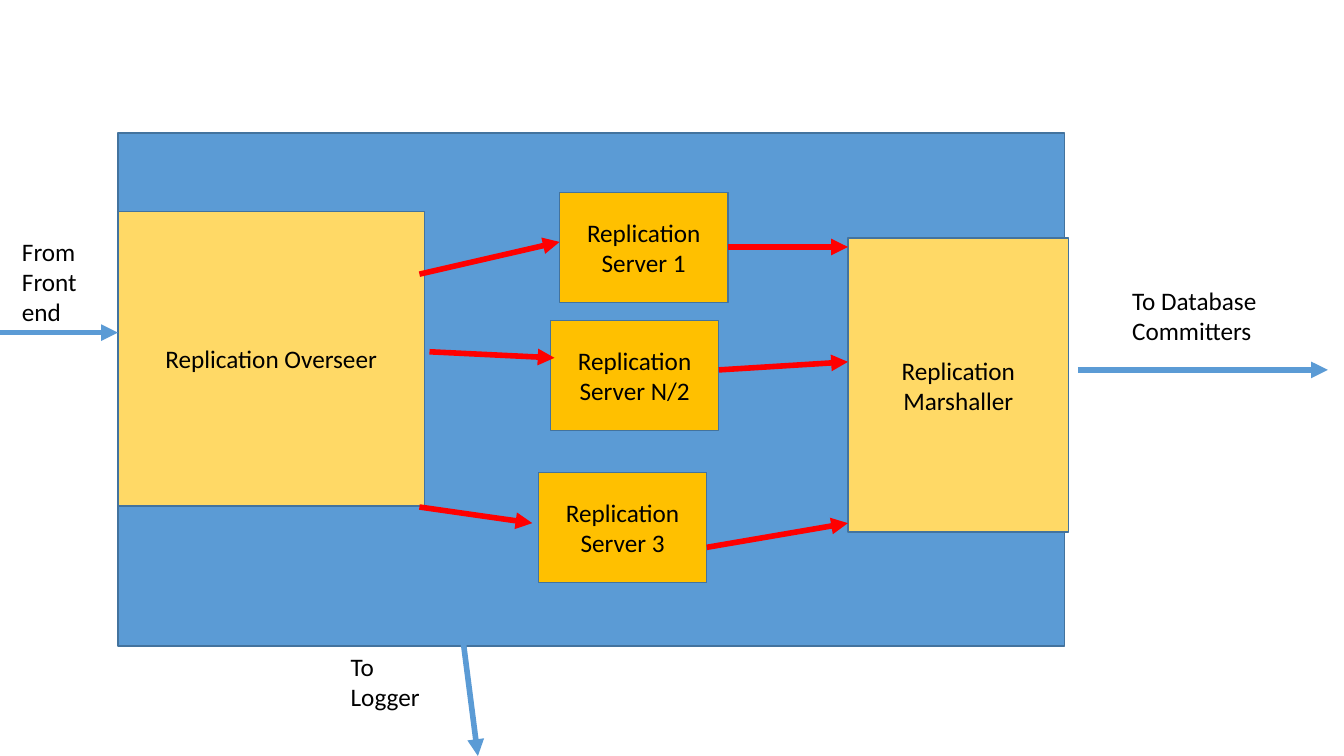
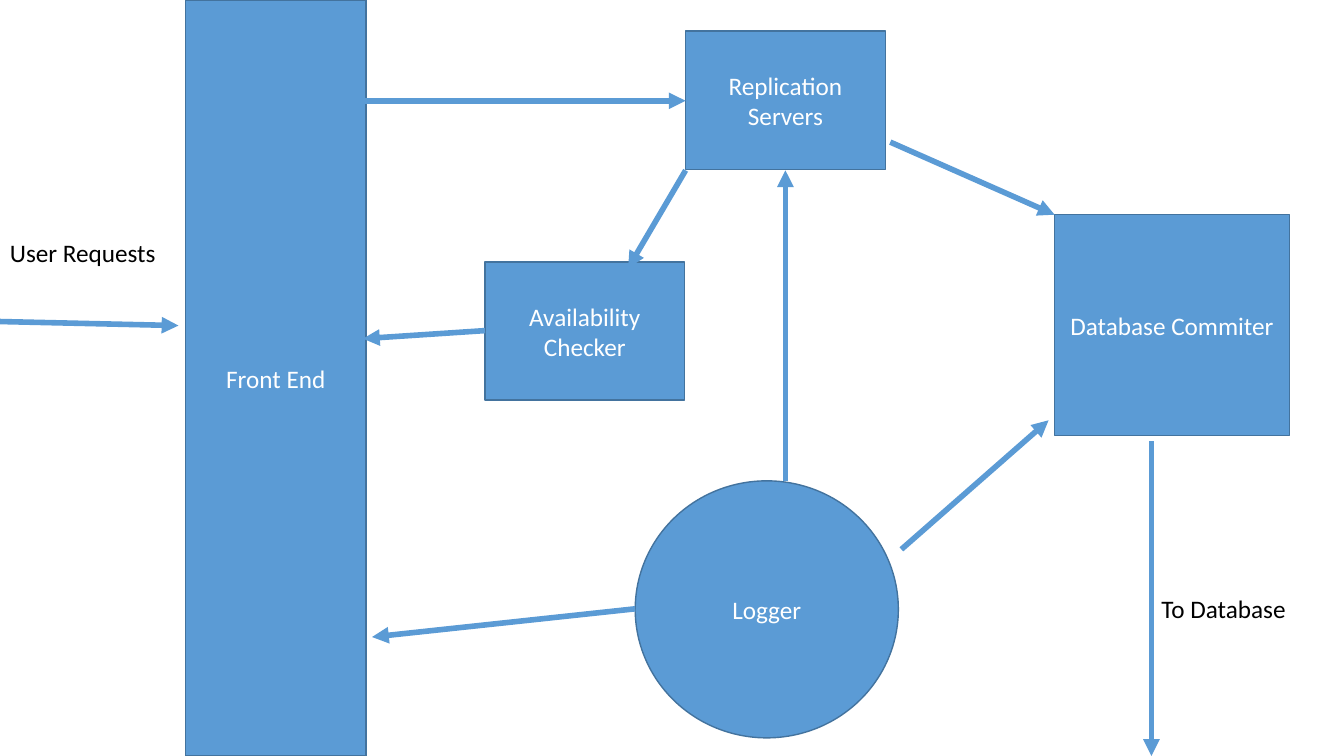
"""Build two architecture diagrams: the replication stage and the whole system."""
from lxml.etree import SubElement
from pptx import Presentation
from pptx.dml.color import RGBColor
from pptx.enum.shapes import MSO_CONNECTOR, MSO_SHAPE
from pptx.enum.text import MSO_ANCHOR, PP_ALIGN
from pptx.oxml.ns import qn
from pptx.util import Inches, Pt

COLORS = {
    "blue": "5B9BD5",
    "outline": "43739E",
    "pale gold": "FFD966",
    "gold": "FFC000",
    "red": "FF0000",
    "black": "000000",
    "white": "FFFFFF",
}
RECTANGLE, OVAL = MSO_SHAPE.RECTANGLE, MSO_SHAPE.OVAL
SERVER_SIZE = (1.67, 1.09)
NODE_SIZE = (1.98, 1.37)

DIAGRAMS = [
    {
        "boxes": [
            (RECTANGLE, "", (1.17, 1.32, 9.39, 5.09), "blue", "white"),
            (RECTANGLE, "Replication Overseer", (1.17, 2.1, 3.04, 2.92), "pale gold", "black"),
            (RECTANGLE, "Replication Server 1", (5.55, 1.91, *SERVER_SIZE), "gold", "black"),
            (RECTANGLE, "Replication Server N/2", (5.46, 3.18, *SERVER_SIZE), "gold", "black"),
            (RECTANGLE, "Replication Server 3", (5.34, 4.69, *SERVER_SIZE), "gold", "black"),
            (RECTANGLE, "Replication Marshaller", (8.41, 2.36, 2.19, 2.92), "pale gold", "black"),
        ],
        "arrows": {
            "blue": [
                (0, 3.3, 1.17, 3.3),
                (4.59, 6.33, 4.74, 7.5),
                (10.69, 3.67, 13.17, 3.67),
            ],
            "red": [
                (4.16, 2.72, 5.55, 2.4),
                (4.26, 3.49, 5.5, 3.55),
                (4.16, 5.03, 5.28, 5.19),
                (7.22, 2.45, 8.41, 2.45),
                (7.13, 3.67, 8.41, 3.59),
                (7.01, 5.43, 8.41, 5.19),
            ],
        },
        "labels": [
            ("From Front\nend", (0.12, 2.29, 0.93, 1.01), True),
            ("To Logger", (3.38, 6.41, 0.93, 0.71), True),
            ("To Database Committers", (11.13, 2.78, 1.78, 0.71), True),
        ],
    },
    {
        "boxes": [
            (RECTANGLE, "Front End", (1.84, 0, 1.79, 7.5), "blue", "white"),
            (OVAL, "Logger", (6.3, 4.77, 2.61, 2.55), "blue", "white"),
            (RECTANGLE, "Replication Servers", (6.8, 0.31, *NODE_SIZE), "blue", "white"),
            (RECTANGLE, "Database Commiter", (10.46, 2.13, 2.33, 2.19), "blue", "white"),
            (RECTANGLE, "Availability Checker", (4.81, 2.6, *NODE_SIZE), "blue", "white"),
        ],
        "arrows": {
            "blue": [
                (0, 3.19, 1.77, 3.23),
                (3.62, 1, 6.8, 1),
                (6.3, 6.04, 3.69, 6.32),
                (7.79, 4.77, 7.79, 1.69),
                (8.83, 1.41, 10.46, 2.13),
                (8.94, 5.45, 10.4, 4.17),
                (11.42, 4.38, 11.42, 7.5),
                (6.8, 1.69, 6.23, 2.66),
                (4.81, 3.28, 3.6, 3.36),
            ],
        },
        "labels": [
            ("User Requests", (0, 2.31, 1.66, 0.4), False),
            ("To Database", (11.42, 5.84, 1.45, 0.4), False),
        ],
    },
]


def write_text(shape, text, color, alignment, wrap=True):
    frame = shape.text_frame
    frame.word_wrap = wrap
    frame.text = text
    for paragraph in frame.paragraphs:
        paragraph.alignment = alignment
        for run in paragraph.runs:
            run.font.name = "Calibri"
            run.font.size = Pt(18)
            run.font.color.rgb = RGBColor.from_string(COLORS[color])


def add_arrow(slide, ends, color):
    arrow = slide.shapes.add_connector(MSO_CONNECTOR.STRAIGHT, *map(Inches, ends))
    arrow.line.color.rgb = RGBColor.from_string(COLORS[color])
    arrow.line.width = Pt(4)
    SubElement(arrow.line._get_or_add_ln(), qn("a:tailEnd"), type="triangle")
    SubElement(arrow._element.spPr, qn("a:effectLst"))


presentation = Presentation()
presentation.slide_width = Inches(13.33)
presentation.slide_height = Inches(7.5)
blank_layout = presentation.slide_layouts[6]

for diagram in DIAGRAMS:
    slide = presentation.slides.add_slide(blank_layout)

    for kind, text, bounds, fill, text_color in diagram["boxes"]:
        box = slide.shapes.add_shape(kind, *map(Inches, bounds))
        box.shadow.inherit = False
        box.fill.solid()
        box.fill.fore_color.rgb = RGBColor.from_string(COLORS[fill])
        box.line.color.rgb = RGBColor.from_string(COLORS["outline"])
        box.line.width = Pt(1)
        if text:
            box.text_frame.vertical_anchor = MSO_ANCHOR.MIDDLE
            write_text(box, text, text_color, PP_ALIGN.CENTER)

    for color, arrows in diagram["arrows"].items():
        for ends in arrows:
            add_arrow(slide, ends, color)

    for text, bounds, wrap in diagram["labels"]:
        label = slide.shapes.add_textbox(*map(Inches, bounds))
        write_text(label, text, "black", PP_ALIGN.LEFT, wrap)

presentation.save("out.pptx")
